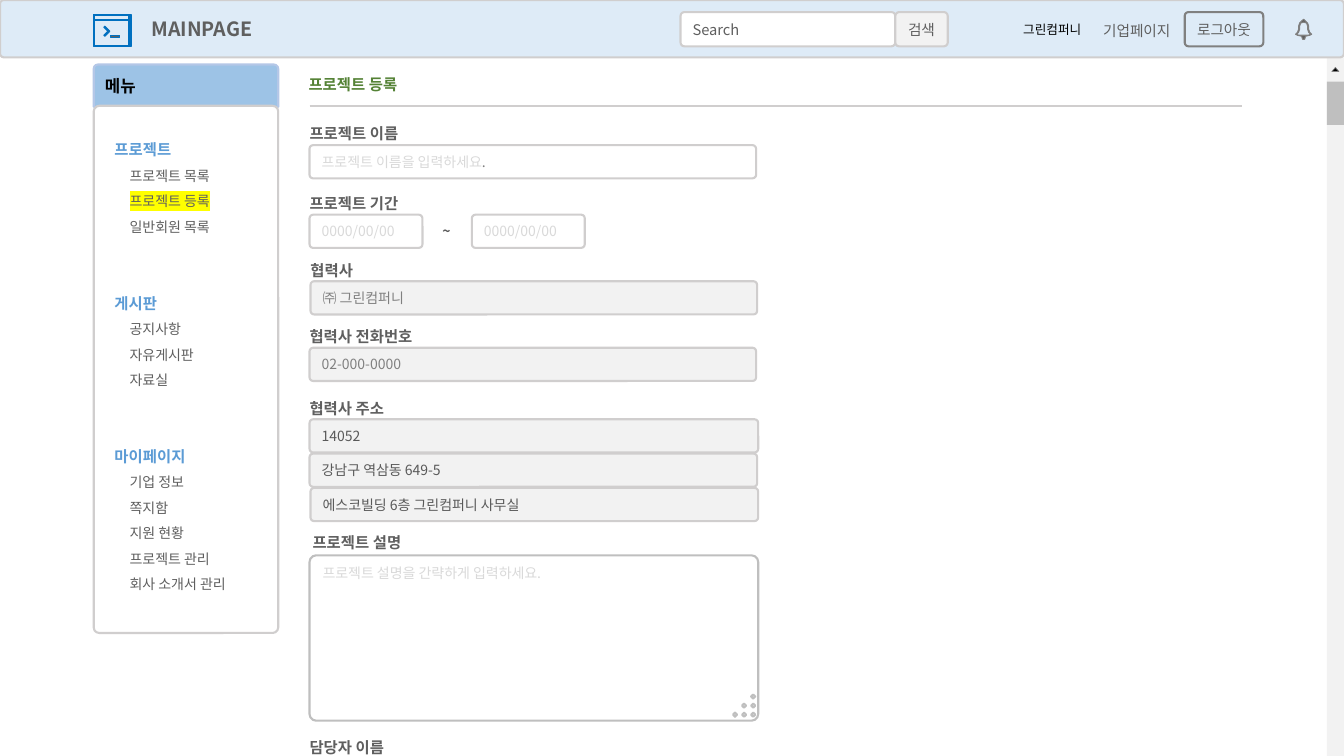
import lxml.etree
import pptx
import pptx.dml.color
import pptx.enum.shapes
import pptx.enum.text
import pptx.oxml.ns
import pptx.util

FONT = "Noto Sans CJK KR"
HUES = {
    "white": "FFFFFF", "black": "000000", "sky": "DEEBF7", "edge": "D0CECE",
    "ink": "5F5F5F", "dark": "595959", "mid": "808080", "hint": "D9D9D9",
    "pale": "F2F2F2", "thumb": "BFBFBF", "blue": "0070C0", "green": "548235",
    "head": "9DC3E6", "rim": "B4C7E7", "link": "5B9BD5", "mark": "FFFF00",
}
MENU = [
    ("프로젝트", ["프로젝트 목록", "프로젝트 등록", "일반회원 목록"]),
    ("게시판", ["공지사항", "자유게시판", "자료실"]),
    ("마이페이지", ["기업 정보", "쪽지함", "지원 현황", "프로젝트 관리", "회사 소개서 관리"]),
]
LABELS = [
    ("프로젝트 이름", 0, 0.5), ("프로젝트 기간", 0, 1.19), ("협력사", 0.01, 1.85),
    ("협력사 전화번호", 0, 2.51), ("협력사 주소", 0, 3.22),
    ("프로젝트 설명", 0.03, 4.55), ("담당자 이름", 0, 6.59),
]
FIELDS = [
    (0, 0.75, 4.43, "프로젝트 이름을 입력하세요", "white", "hint"),
    (0, 1.44, 1.12, "0000/00/00", "white", "hint"),
    (1.61, 1.44, 1.12, "0000/00/00", "white", "hint"),
    (0.01, 2.1, 4.43, "㈜ 그린컴퍼니", "pale", "mid"),
    (0, 2.76, 4.43, "02-000-0000", "pale", "mid"),
    (0, 3.47, 4.45, "14052", "pale", "dark"),
    (0, 3.81, 4.44, "강남구 역삼동 649-5", "pale", "dark"),
    (0.01, 4.15, 4.44, "에스코빌딩 6층 그린컴퍼니 사무실", "pale", "dark"),
]
KINDS = pptx.enum.shapes.MSO_SHAPE
ALIGN = pptx.enum.text.PP_ALIGN
ANCHOR = pptx.enum.text.MSO_ANCHOR
Inches = pptx.util.Inches


def rgb(hue):
    return pptx.dml.color.RGBColor.from_string(HUES[hue])


def paint(shape, fill, edge=None, width=1.5):
    shape.shadow.inherit = False
    shape.fill.solid()
    shape.fill.fore_color.rgb = rgb(fill)
    if edge:
        shape.line.color.rgb = rgb(edge)
        shape.line.width = pptx.util.Pt(width)
    else:
        shape.line.fill.background()


def style(run, size, hue, bold=False):
    run.font.size = pptx.util.Pt(size)
    run.font.bold = bold
    run.font.color.rgb = rgb(hue)
    run.font.name = FONT
    east = lxml.etree.SubElement(run.font._element, pptx.oxml.ns.qn("a:ea"))
    east.set("typeface", FONT)


def write(shape, text, size, hue, bold=False, pads=(0.1, 0.05),
          anchor=ANCHOR.TOP, align=ALIGN.LEFT, wrap=True):
    frame = shape.text_frame
    frame.text = text
    frame.word_wrap = wrap
    frame.vertical_anchor = anchor
    frame.margin_left = frame.margin_right = Inches(pads[0])
    frame.margin_top = frame.margin_bottom = Inches(pads[1])
    para = frame.paragraphs[0]
    para.alignment = align
    style(para.runs[0], size, hue, bold)
    return para


def block(slide, kind, box, fill, edge=None, curve=()):
    shape = slide.shapes.add_shape(kind, *map(Inches, box))
    paint(shape, fill, edge)
    for spot, value in enumerate(curve):
        shape.adjustments[spot] = value
    return shape


def label(slide, box, *args, **more):
    return write(slide.shapes.add_textbox(*map(Inches, box)), *args, **more)


def draw(slide, left, top, loops, fill, edge, width):
    loops = [[(Inches(left + x), Inches(top + y)) for x, y in loop] for loop in loops]
    path = slide.shapes.build_freeform(*loops[0][0])
    for spot, loop in enumerate(loops):
        if spot:
            path.move_to(*loop[0])
        path.add_line_segments(loop[1:], close=True)
    paint(path.convert_to_shape(), fill, edge, width)


def frame(x, y, right, low):
    return [(x, y), (right, y), (right, low), (x, low)]


def mirror(half, mid):
    return half + [(2 * mid - x, y) for x, y in reversed(half)]


def button(slide, box, text, fill, edge=None):
    shape = block(slide, KINDS.ROUNDED_RECTANGLE, box, fill, edge, [0.11])
    write(shape, text, 10.5, "ink", pads=(0.1, 0.07), anchor=ANCHOR.MIDDLE,
          align=ALIGN.CENTER, wrap=False)


def header(slide, x, y, w, h):
    bar = block(slide, KINDS.ROUNDED_RECTANGLE, (x, y, w, h), "sky", "edge", [0.07])
    write(bar, "MAINPAGE", 14, "ink", True, (1.49, 0.05), ANCHOR.MIDDLE)
    top = y + 0.12
    find = block(slide, KINDS.ROUNDED_RECTANGLE, (x + 6.75, top, 2.13, 0.34),
                 "white", "edge", [0.11])
    write(find, "Search", 10.5, "ink", pads=(0.11, 0.07), anchor=ANCHOR.MIDDLE)
    button(slide, (x + 8.88, top, 0.52, 0.34), "검색", "pale", "edge")
    button(slide, (x + 11.75, top, 0.78, 0.34), "로그아웃", "sky", "mid")
    button(slide, (x + 10.82, top + 0.01, 0.91, 0.34), "기업페이지", "sky")
    label(slide, (x + 10.05, y + 0.17, 0.86, 0.25), "그린컴퍼니", 9, "black")
    shell = [
        frame(0, 0, 0.37, 0.32), frame(0.01, 0.01, 0.35, 0.05),
        frame(0.01, 0.06, 0.35, 0.31),
        [(0.11, 0.12), (0.16, 0.17), (0.11, 0.22), (0.1, 0.21), (0.14, 0.17), (0.1, 0.13)],
        frame(0.17, 0.21, 0.26, 0.23),
    ]
    draw(slide, x + 0.93, y + 0.14, shell, "ink", "blue", 0.75)
    outer = [(0.08, 0), (0.06, 0.02), (0.04, 0.04), (0.03, 0.07), (0.03, 0.1),
             (0.02, 0.13), (0, 0.15), (0.02, 0.16), (0.06, 0.17), (0.07, 0.2)]
    inner = [(0.08, 0.03), (0.05, 0.04), (0.04, 0.07), (0.04, 0.1), (0.03, 0.13),
             (0.01, 0.15), (0.03, 0.16), (0.07, 0.16)]
    bell = [mirror(half, 0.08) for half in (outer, inner)]
    draw(slide, x + 12.85, y + 0.19, bell, "ink", "mid", 0.75)


def menu(slide, x, y, w, h):
    head = block(slide, KINDS.ROUND_2_SAME_RECTANGLE, (x, y, w, 0.42),
                 "head", "rim", [0.1, 0])
    write(head, "메뉴", 12, "black", True, (0.1, 0.1))
    body = block(slide, KINDS.ROUNDED_RECTANGLE, (x, y + 0.41, w, h - 0.41),
                 "white", "edge", [0.03])
    text = body.text_frame
    rows = [row for name, items in MENU
            for row in [(name, True)] + [(item, False) for item in items]]
    for spot, (name, top) in enumerate(rows):
        if spot:
            para = text.add_paragraph()
            para.text = name
            para.alignment = ALIGN.LEFT
            style(para.runs[0], *((11, "link", True) if top else (10, "ink")))
            if top:
                para.space_before = pptx.util.Pt(37)
        else:
            para = write(body, name, 11, "link", True, (0.19, 0.26))
        para.line_spacing = pptx.util.Pt(18.1)
        if not top:
            para._p.get_or_add_pPr().set("marL", str(Inches(0.15)))
        if name == "프로젝트 등록":
            fill = para.runs[0].font._element.find(pptx.oxml.ns.qn("a:solidFill"))
            glow = lxml.etree.Element(pptx.oxml.ns.qn("a:highlight"))
            tint = lxml.etree.SubElement(glow, pptx.oxml.ns.qn("a:srgbClr"))
            tint.set("val", HUES["mark"])
            fill.addnext(glow)


def form(slide, x, y, w):
    title = slide.shapes.title
    title.left, title.top = Inches(x - 0.11), Inches(y)
    title.width, title.height = Inches(1.73), Inches(0.29)
    write(title, "프로젝트 등록", 11, "green", True)
    rule = slide.shapes.add_connector(
        pptx.enum.shapes.MSO_CONNECTOR.STRAIGHT,
        *map(Inches, (x, y + 0.36, x + w, y + 0.36)))
    rule.line.color.rgb = rgb("edge")
    rule.line.width = pptx.util.Pt(1.5)
    lxml.etree.SubElement(rule._element.spPr, pptx.oxml.ns.qn("a:effectLst"))
    for name, dx, dy in LABELS:
        para = label(slide, (x + dx, y + dy, 1.26, 0.21), name, 11, "ink", True, (0, 0))
        para.line_spacing = 1.25
    for spot, (dx, dy, wide, text, fill, hue) in enumerate(FIELDS):
        field = block(slide, KINDS.ROUNDED_RECTANGLE, (x + dx, y + dy, wide, 0.33),
                      fill, "edge", [0.11])
        para = write(field, text, 10, hue, pads=(0.11, 0.07), anchor=ANCHOR.MIDDLE)
        if not spot:
            stop = para.add_run()
            stop.text = "."
            style(stop, 10, "mid")
    label(slide, (x + 1.22, y + 1.47, 0.29, 0.27), "~", 10, "dark", True)
    area = block(slide, KINDS.ROUNDED_RECTANGLE, (x, y + 4.82, 4.45, 1.64),
                 "white", "thumb", [0.04])
    write(area, "프로젝트 설명을 간략하게 입력하세요.", 10, "hint", pads=(0.11, 0.07))
    dots = [(0.02 + 0.09 * col, 0.02 + 0.09 * row)
            for row in range(3) for col in range(2 - row, 3)]
    grip = [[(a - 0.02, b), (a, b - 0.02), (a + 0.02, b), (a, b + 0.02)] for a, b in dots]
    draw(slide, x + 4.2, y + 6.2, grip, "white", "thumb", 1.5)


def scroll(slide, x, y, w, h):
    block(slide, KINDS.RECTANGLE, (x, y, w, h), "pale")
    arrow = block(slide, KINDS.ISOSCELES_TRIANGLE, (x + 0.05, y + 0.1, 0.07, 0.04), "black")
    paint(arrow, "black", "mid", 0.5)
    block(slide, KINDS.RECTANGLE, (x, y + 0.24, w, 0.43), "thumb")


def main():
    deck = pptx.Presentation()
    deck.slide_width, deck.slide_height = Inches(13.33), Inches(7.5)
    slide = deck.slides.add_slide(deck.slide_layouts[5])
    scroll(slide, 13.16, 0.57, 0.17, 6.93)
    header(slide, 0, 0, 13.33, 0.57)
    form(slide, 3.07, 0.69, 9.25)
    menu(slide, 0.93, 0.64, 1.83, 5.64)
    deck.save("out.pptx")


if __name__ == "__main__":
    main()
